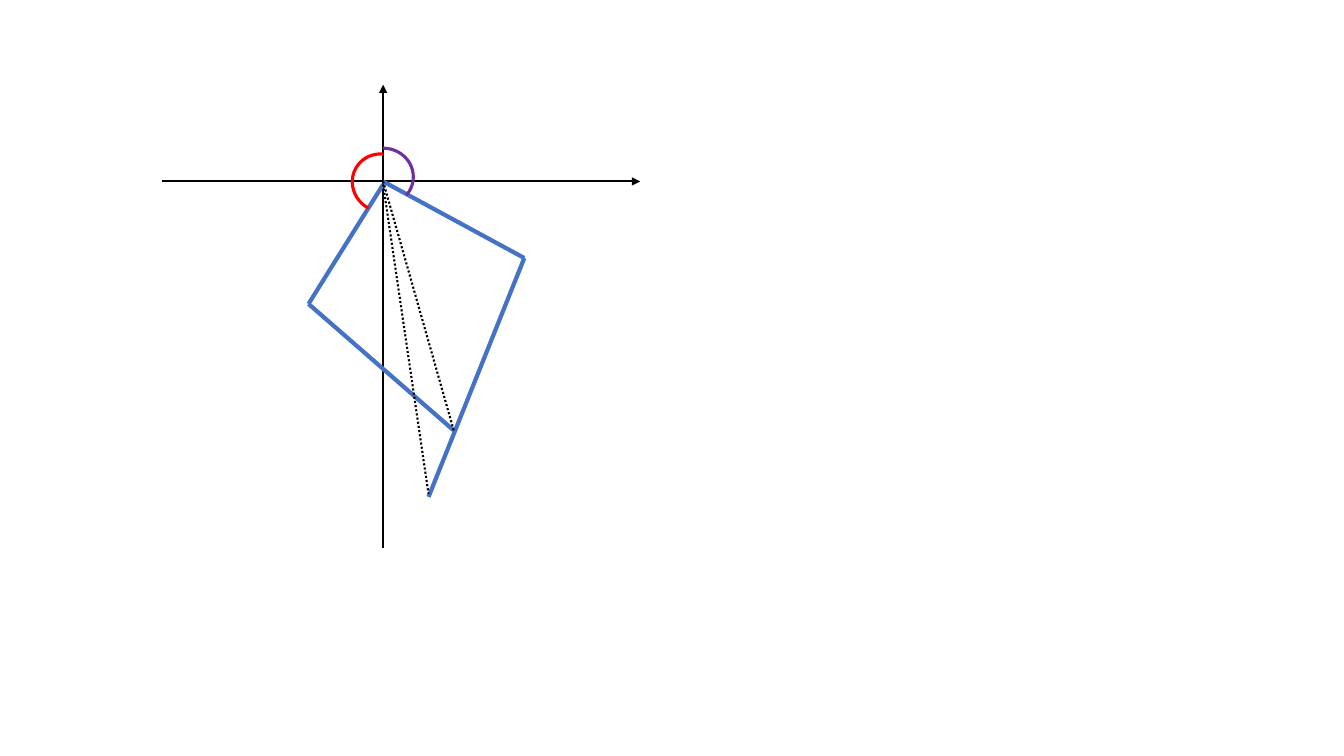
from pptx import Presentation
from pptx import util as u
from pptx.dml.color import RGBColor
from pptx.enum import dml, shapes
from pptx.oxml.ns import qn
from lxml import etree

COLORS = {"axis": "000000", "limb": "4472C4", "right_angle": "7030A0", "left_angle": "FF0000"}
CELL = u.Inches(0.1)  # the slide is a grid of square cells

ORIGIN = (38, 18)
LEFT_HIP = (38, 18.3)
RIGHT_KNEE, RIGHT_FOOT = (52, 25.6), (42.5, 49.3)
LEFT_KNEE, LEFT_FOOT = (30.6, 30.15), (45, 42.7)


def cells(*counts):
    return [round(count * CELL) for count in counts]


def style_line(line, color, width):
    line.color.rgb = RGBColor.from_string(COLORS[color])
    line.width = u.Pt(width)


def add_segment(slide, start, end, color, width):
    segment = slide.shapes.add_connector(
        shapes.MSO_CONNECTOR.STRAIGHT, *cells(*start, *end))
    style_line(segment.line, color, width)
    etree.SubElement(segment._element.spPr, qn("a:effectLst"))
    return segment


def add_axis(slide, start, end):
    axis = add_segment(slide, start, end, "axis", 1.5)
    etree.SubElement(axis.line._get_or_add_ln(), qn("a:tailEnd"), type="triangle")


def add_limb(slide, *joints):
    for start, end in zip(joints, joints[1:]):
        add_segment(slide, start, end, "limb", 3)


def add_reach(slide, start, end):
    """Dotted straight distance from the origin to a foot."""
    reach = add_segment(slide, start, end, "axis", 1.5)
    reach.line.dash_style = dml.MSO_LINE.ROUND_DOT


def add_angle(slide, left, top, end_degrees, color, rotation=0):
    """Arc that runs clockwise from the top to end_degrees, then is rotated."""
    angle = slide.shapes.add_shape(shapes.MSO_SHAPE.ARC, *cells(left, top, 6, 5.7))
    # Arc adjustments count 100000ths of the 60000 units in a degree.
    angle.adjustments[0] = 270 * 0.6
    angle.adjustments[1] = end_degrees * 0.6
    angle.rotation = rotation
    angle.shadow.inherit = False
    angle.fill.background()
    style_line(angle.line, color, 2.25)


def main():
    deck = Presentation()
    deck.slide_width, deck.slide_height = u.Inches(13.33), u.Inches(7.5)
    slide = deck.slides.add_slide(deck.slide_layouts[6])

    origin_column, origin_row = ORIGIN
    add_axis(slide, (16.1, origin_row), (63.5, origin_row))
    add_axis(slide, (origin_column, 54.4), (origin_column, 8.4))
    add_limb(slide, ORIGIN, RIGHT_KNEE, RIGHT_FOOT)
    add_limb(slide, LEFT_HIP, LEFT_KNEE, LEFT_FOOT)
    add_angle(slide, 35, 14.7, 37.5, "right_angle")
    add_angle(slide, 34.9, 15.3, 63.76, "left_angle", rotation=208.6)
    add_reach(slide, LEFT_HIP, (42.5, 49))
    add_reach(slide, ORIGIN, LEFT_FOOT)

    deck.save("out.pptx")


if __name__ == "__main__":
    main()
